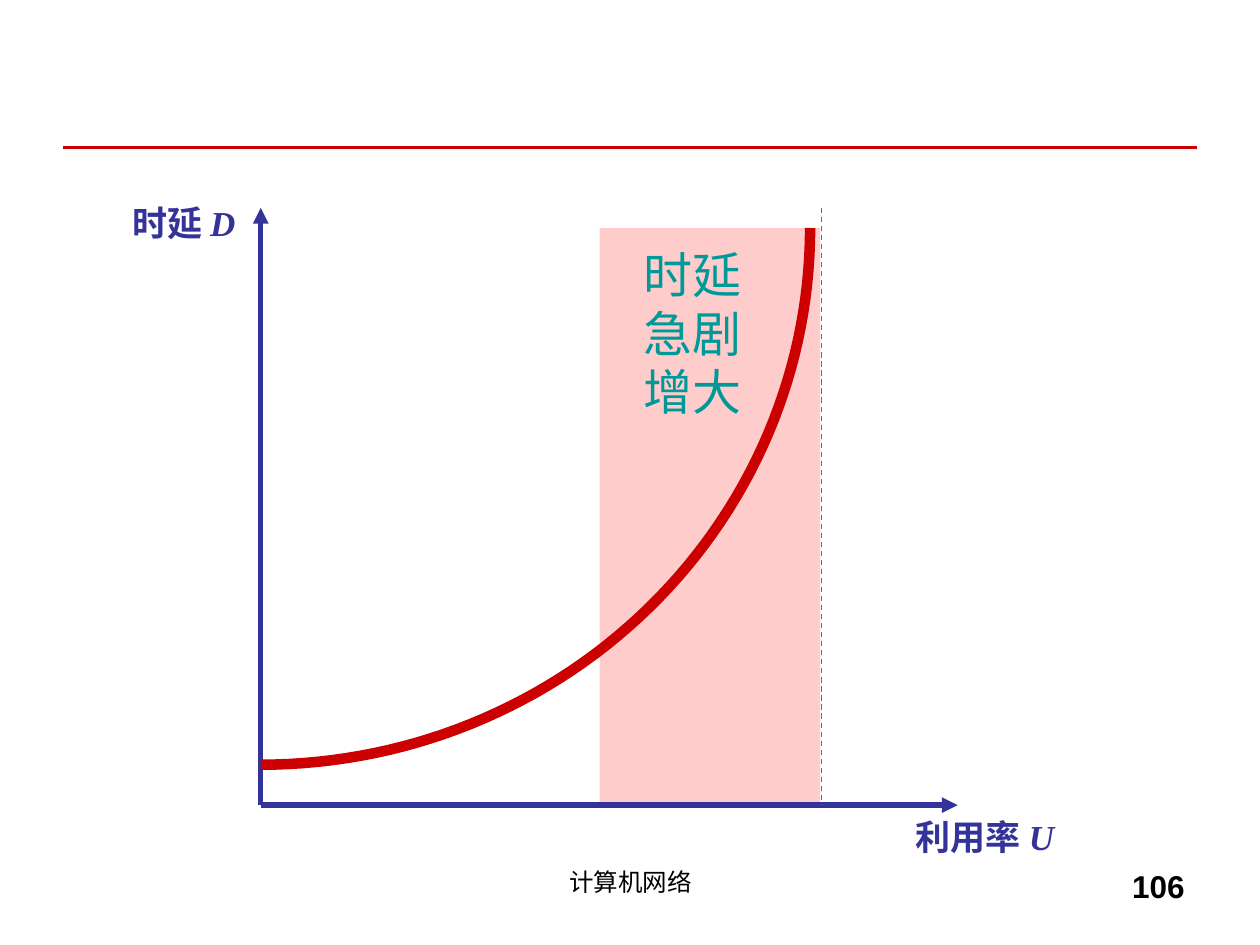
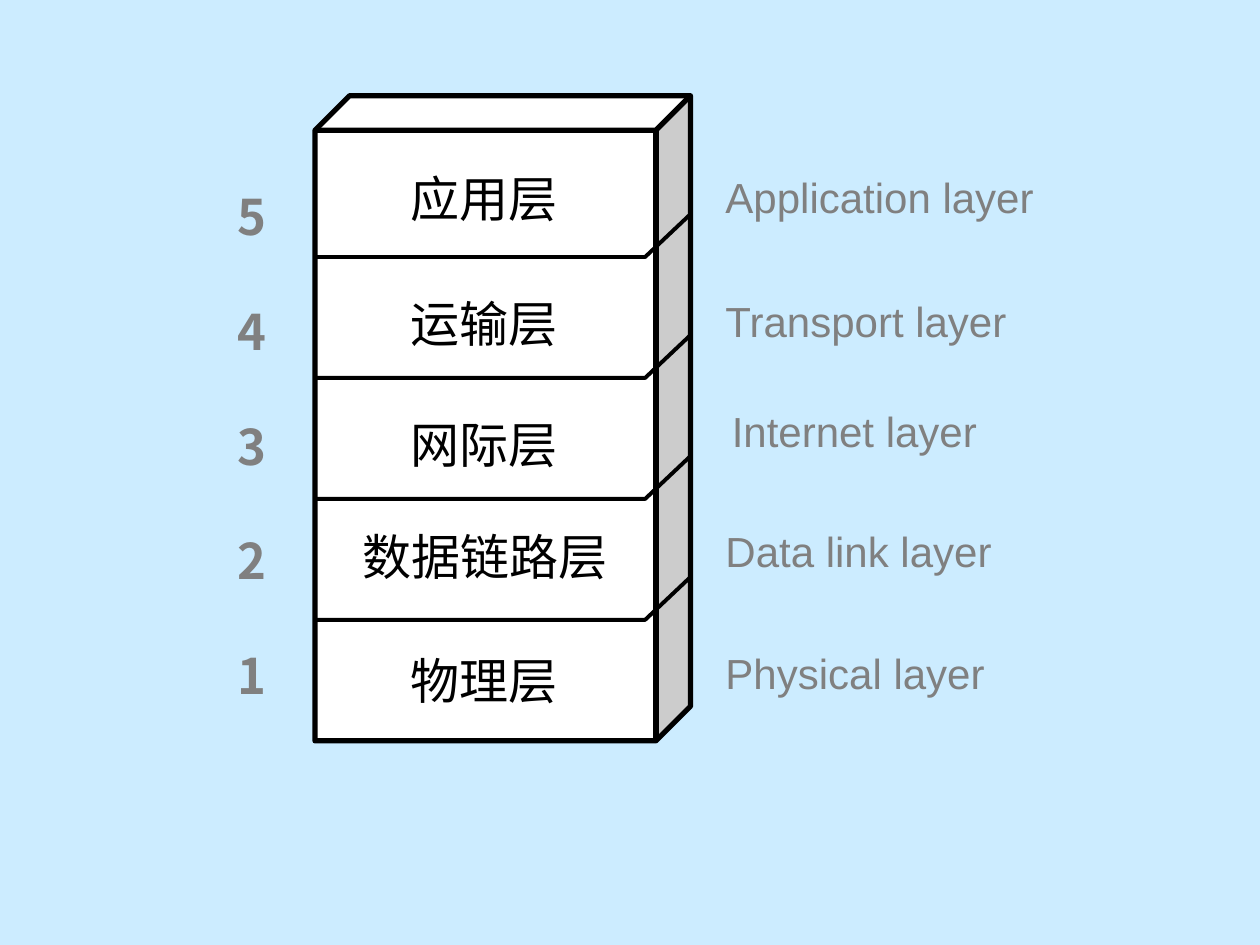
import math
from dataclasses import dataclass

import pptx
import pptx.dml.color
import pptx.enum.dml
import pptx.enum.shapes
import pptx.enum.text
import pptx.oxml.ns
import pptx.util
from lxml import etree

Inches = pptx.util.Inches
Pt = pptx.util.Pt
Shape = pptx.enum.shapes.MSO_SHAPE
Align = pptx.enum.text.PP_ALIGN
Fit = pptx.enum.text.MSO_AUTO_SIZE
qn = pptx.oxml.ns.qn


@dataclass(frozen=True)
class Theme:
    white: str = "FFFFFF"
    black: str = "000000"
    red: str = "CC0000"
    pink: str = "FFCCCC"
    navy: str = "333399"
    teal: str = "009999"
    sky: str = "CCECFF"
    gray: str = "808080"
    sans: str = "Arial"
    serif: str = "Times New Roman"
    cjk: str = "Noto Sans CJK SC"
    foot: int = 14
    page: int = 18
    axis: int = 20
    name: int = 24
    head: int = 28


def rgb(code):
    return pptx.dml.color.RGBColor.from_string(code)


class Deck:
    def __init__(self, theme):
        self.theme = theme
        self.prs = pptx.Presentation()
        self.prs.slide_width = Inches(10)
        self.prs.slide_height = Inches(7.5)
        self.slide = None

    def add(self, back):
        blank = self.prs.slide_layouts[6]
        self.slide = self.prs.slides.add_slide(blank)
        fill = self.slide.background.fill
        fill.solid()
        fill.fore_color.rgb = rgb(back)

    def text(self, box, lines, size, color, font=None, bold=False,
             align=Align.LEFT, wrap=False, space=None):
        """Each line is a string, or a pair of upright and italic text."""
        frame = self.slide.shapes.add_textbox(*map(Inches, box)).text_frame
        frame.word_wrap = wrap
        frame.auto_size = Fit.NONE
        for i, line in enumerate(lines):
            para = frame.add_paragraph() if i else frame.paragraphs[0]
            para.alignment = align
            if space:
                para.line_spacing = space
            para.font.name = font or self.theme.sans
            para.font.size = Pt(size)
            para.font.bold = bold
            para.font.color.rgb = rgb(color)
            props = para._p.get_or_add_pPr().find(qn("a:defRPr"))
            etree.SubElement(props, qn("a:ea"), typeface=self.theme.cjk)
            parts = (line,) if isinstance(line, str) else line
            for j, part in enumerate(parts):
                run = para.add_run()
                run.text = part
                if j:
                    run.font.italic = True

    def line(self, start, end, color, width, dash=False, arrow=False):
        kind = pptx.enum.shapes.MSO_CONNECTOR.STRAIGHT
        link = self.slide.shapes.add_connector(kind, *map(Inches, start + end))
        link.line.color.rgb = rgb(color)
        link.line.width = Pt(width)
        if dash:
            link.line.dash_style = pptx.enum.dml.MSO_LINE.DASH
        if arrow:
            etree.SubElement(link.line._get_or_add_ln(), qn("a:tailEnd"),
                             type="triangle")
        etree.SubElement(link._element.spPr, qn("a:effectLst"))

    def shape(self, kind, box, fill, edge=None, width=0):
        item = self.slide.shapes.add_shape(kind, *map(Inches, box))
        item.shadow.inherit = False
        item.fill.solid()
        item.fill.fore_color.rgb = rgb(fill)
        if edge:
            item.line.color.rgb = rgb(edge)
            item.line.width = Pt(width)
        else:
            item.line.fill.background()
        return item

    def trace(self, points, color, width):
        """Draw an open, unfilled outline through the points."""
        first, *rest = [(Inches(x), Inches(y)) for x, y in points]
        pen = self.slide.shapes.build_freeform(*first)
        pen.add_line_segments(rest, close=False)
        item = pen.convert_to_shape()
        item.shadow.inherit = False
        item.fill.background()
        item.line.color.rgb = rgb(color)
        item.line.width = Pt(width)

    def frame(self, page):
        """Add the header rule, the footer and the page number."""
        t = self.theme
        self.line((0.5, 1.17), (9.5, 1.17), t.red, 2)
        self.text((3.42, 6.83, 3.17, 0.52), ["计算机网络"], t.foot, t.black,
                  align=Align.CENTER, wrap=True)
        self.text((7.17, 6.83, 2.33, 0.52), [page], t.page, t.black,
                  bold=True, align=Align.RIGHT, wrap=True)


def delay(deck):
    t = deck.theme
    deck.add(t.white)
    deck.frame("106")
    left, base, top, peak, limit = 2.07, 6.39, 1.65, 1.81, 6.52
    deck.shape(Shape.RECTANGLE, (4.76, peak, 1.75, base - peak), t.pink)
    deck.line((left, base), (left, top), t.navy, 3, arrow=True)
    deck.line((left, base), (7.6, base), t.navy, 3, arrow=True)
    deck.line((limit, top), (limit, base), t.teal, 0.75, dash=True)

    wide, high, steps = 4.36, 4.26, 60
    turns = [math.pi / 2 * i / steps for i in range(steps + 1)]
    curve = [(left + wide * math.sin(a), peak + high * math.cos(a))
             for a in turns]
    deck.trace(curve, t.red, 6)

    for box, label in (((0.95, 1.55, 1.15, 0.44), ("时延 ", "D")),
                       ((7.17, 6.42, 1.45, 0.44), ("利用率 ", "U"))):
        deck.text(box, [label], t.axis, t.navy, t.serif, bold=True)
    deck.text((5.01, 1.89, 1.05, 1.5), ["时延", "急剧", "增大"],
              t.head, t.teal)


def layers(deck):
    t = deck.theme
    deck.add(t.sky)
    deck.text((1.79, 0.99, 0.4, 4.65), list("54321"), t.head, t.gray, t.cjk,
              bold=True, wrap=True, space=1.95)
    cube = deck.shape(Shape.CUBE, (2.5, 0.76, 2.98, 5.12), t.white, t.black, 3)
    cube.adjustments[0] = 0.092

    for i in range(4):
        y = 2.04 + 0.96 * i
        deck.trace([(2.5, y), (5.12, y), (5.48, y - 0.34)], t.black, 2.25)

    rows = (
        (3.16, 1.29, 1.45, "应用层", 5.66, 1.31, "Application layer"),
        (3.16, 2.28, 1.45, "运输层", 5.66, 2.3, "Transport layer"),
        (3.16, 3.24, 1.45, "网际层", 5.71, 3.17, "Internet layer"),
        (2.78, 4.13, 2.25, "数据链路层", 5.66, 4.12, "Data link layer"),
        (3.16, 5.11, 1.45, "物理层", 5.66, 5.09, "Physical layer"),
    )
    for x, y, wide, label, far, high, name in rows:
        deck.text((x, y, wide, 0.57), [label], t.head, t.black, t.cjk,
                  wrap=True)
        deck.text((far, high, 2.8, 0.5), [name], t.name, t.gray, wrap=True)


def main():
    deck = Deck(Theme())
    delay(deck)
    layers(deck)
    deck.prs.save("out.pptx")


if __name__ == "__main__":
    main()
